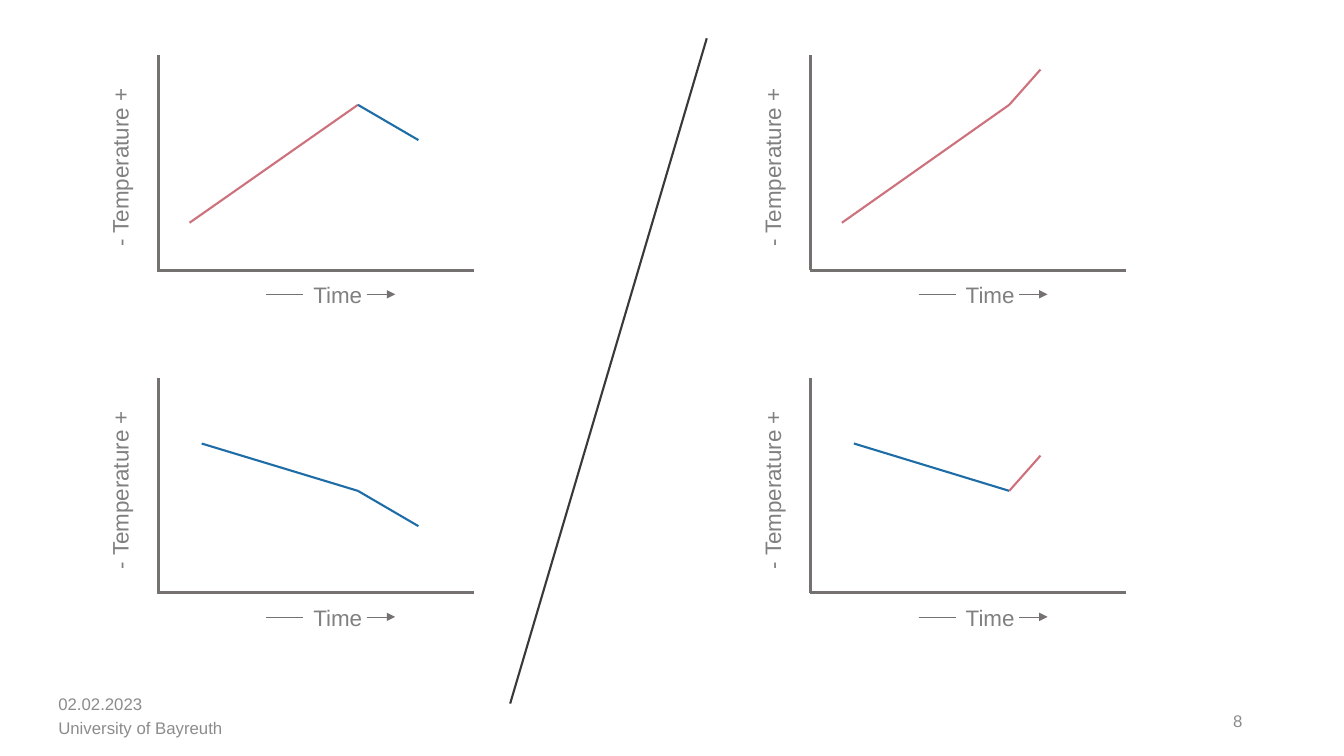
from pptx import Presentation
from pptx.dml.color import RGBColor
from pptx.enum.shapes import MSO_CONNECTOR
from pptx.enum.text import MSO_ANCHOR, PP_ALIGN
from pptx.oxml.ns import qn
from pptx.util import Pt
from lxml import etree

STRAIGHT = MSO_CONNECTOR.STRAIGHT
TOP, MIDDLE = MSO_ANCHOR.TOP, MSO_ANCHOR.MIDDLE
LEFT, RIGHT = PP_ALIGN.LEFT, PP_ALIGN.RIGHT

PX = 9144
AXIS = RGBColor(0x76, 0x71, 0x71)
LABEL = RGBColor(0x80, 0x80, 0x80)
FOOTER = RGBColor(0x8C, 0x8C, 0x8C)
WARMING = RGBColor(0xCD, 0x71, 0x7C)
COOLING = RGBColor(0x1E, 0x6D, 0xA7)
DIVIDER = RGBColor(0x3B, 0x38, 0x38)

COLUMNS = (157, 804)
ROWS = (55, 375)
CURVES = (
    (((31, 166), (198, 49), (258, 84)), ((31, 166), (197, 49), (228, 14))),
    (((43, 65), (198, 112), (258, 147)), ((43, 65), (197, 112), (228, 77))),
)


def add_text(s, text, x, y, w, h, size, color, align=LEFT, anchor=TOP, rotation=0):
    """Add a one-run text box."""
    sp = s.shapes.add_textbox(x * PX, y * PX, w * PX, h * PX)
    sp.rotation = rotation
    tf = sp.text_frame
    tf.word_wrap = True
    tf.vertical_anchor = anchor
    p = tf.paragraphs[0]
    p.alignment = align
    r = p.add_run()
    r.text = text
    r.font.name = "Arial"
    r.font.size = Pt(size)
    r.font.color.rgb = color


def add_line(s, start, end, color, width, arrow=False):
    """Add a straight line, with an arrowhead at its end if asked."""
    (x1, y1), (x2, y2) = start, end
    sp = s.shapes.add_connector(STRAIGHT, x1 * PX, y1 * PX, x2 * PX, y2 * PX)
    sp.line.color.rgb = color
    sp.line.width = Pt(width)
    if arrow:
        etree.SubElement(sp.line._get_or_add_ln(), qn("a:tailEnd"), type="triangle")
    etree.SubElement(sp._element.spPr, qn("a:effectLst"))


def add_graph(s, x, y, curve):
    """Add a temperature graph whose axes start at x and y, coloured by slope."""
    def at(dx, dy):
        """Place an offset within the graph."""
        return x + dx, y + dy

    add_line(s, at(0, 0), at(0, 213), AXIS, 2.25)
    add_line(s, at(313, 213), at(-1, 213), AXIS, 2.25)
    add_text(s, "- Temperature +", *at(-130, 89), 184, 37, 16, LABEL, rotation=270)
    add_text(s, "Time", *at(144, 219), 73, 37, 16, LABEL)
    add_line(s, at(107, 237), at(144, 237), AXIS, 0.5)
    add_line(s, at(207, 237), at(235, 237), AXIS, 0.5, arrow=True)
    for start, end in zip(curve, curve[1:]):
        color = WARMING if end[1] < start[1] else COOLING
        add_line(s, at(*start), at(*end), color, 1.5)


def main():
    """Build the slide and save it."""
    prs = Presentation()
    prs.slide_width, prs.slide_height = 1333 * PX, 750 * PX
    s = prs.slides.add_slide(prs.slide_layouts[6])
    add_text(s, "02.02.2023", 48, 678, 109, 40, 12, FOOTER, anchor=MIDDLE)
    add_text(s, "University of Bayreuth", 48, 702, 225, 40, 12, FOOTER, anchor=MIDDLE)
    add_text(s, "8", 1182, 695, 60, 40, 12, FOOTER, RIGHT, MIDDLE)
    for y, curves in zip(ROWS, CURVES):
        for x, curve in zip(COLUMNS, curves):
            add_graph(s, x, y, curve)
    add_line(s, (701, 38), (506, 698), DIVIDER, 1.5)
    prs.save("out.pptx")


if __name__ == "__main__":
    main()
